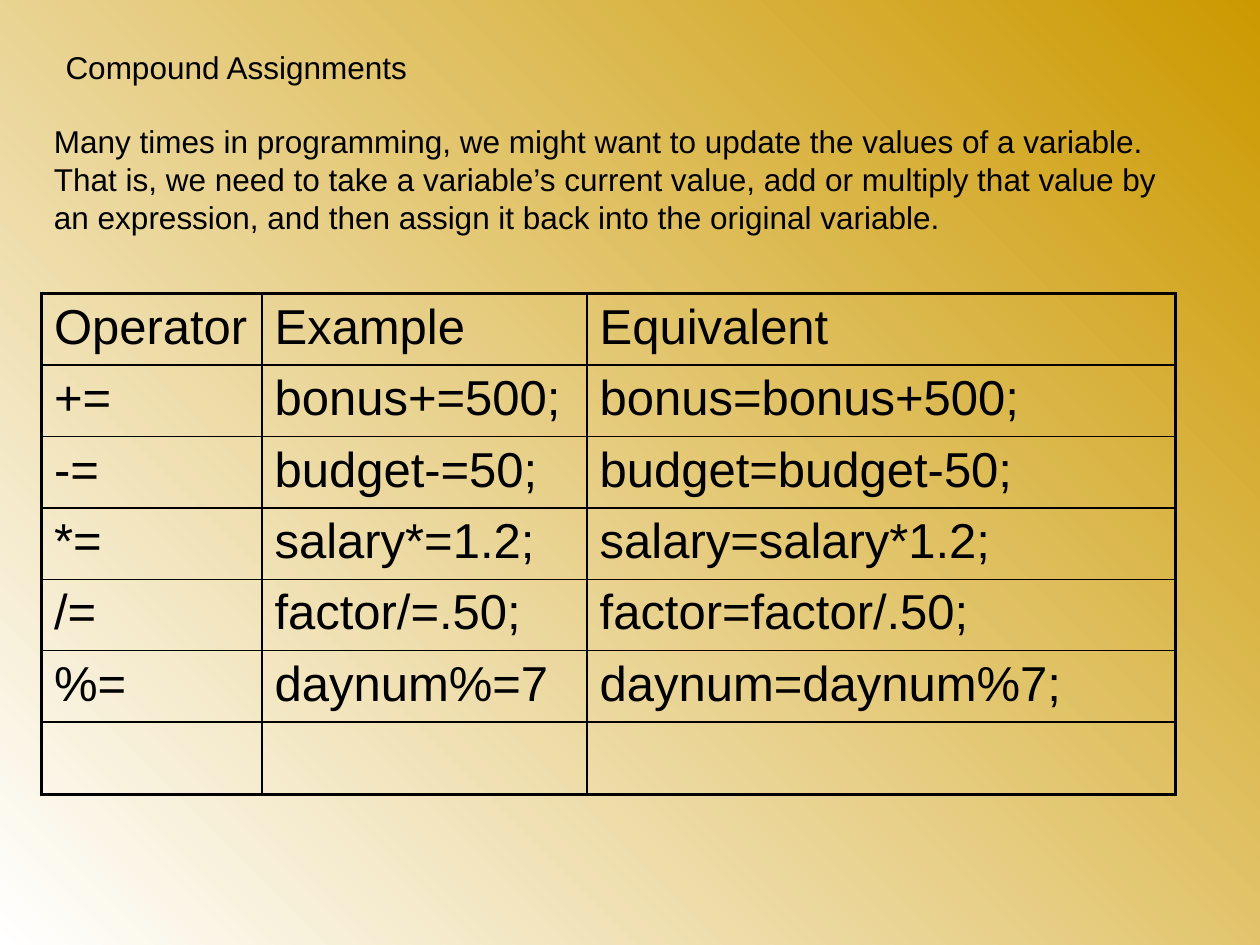
import pptx
import pptx.dml.color
import pptx.enum.text
import pptx.util
from lxml import etree
from pptx.oxml.ns import qn

TITLE = "Compound Assignments"
INTRO = (
    "Many times in programming, we might want to update the values of a variable. "
    "That is, we need to take a variable’s current value, add or multiply that value "
    "by an expression, and then assign it back into the original variable."
)
OPERATORS = [
    ("Operator", "Example", "Equivalent"),
    ("+=", "bonus+=500;", "bonus=bonus+500;"),
    ("-=", "budget-=50;", "budget=budget-50;"),
    ("*=", "salary*=1.2;", "salary=salary*1.2;"),
    ("/=", "factor/=.50;", "factor=factor/.50;"),
    ("%=", "daynum%=7", "daynum=daynum%7;"),
    ("", "", ""),
]
COLUMN_WIDTHS = (1.75, 2.58, 4.67)
ROW_HEIGHT = 3.97 / len(OPERATORS)
TITLE_BOX = (0.42, 0.33, 8.92, 0.4)
INTRO_BOX = (0.33, 0.92, 9.08, 1)
TABLE_CORNER = (0.33, 2.33)
INK, PAPER, GOLD = "000000", "FFFFFF", "CC9900"
OUTER, INNER = 2.25, 1
Inches = pptx.util.Inches


def rgb(value):
    return pptx.dml.color.RGBColor.from_string(value)


def write(frame, text, size):
    frame.text = text
    frame.word_wrap = True
    paragraph = frame.paragraphs[0]
    paragraph.alignment = pptx.enum.text.PP_ALIGN.LEFT
    paragraph.font.size = pptx.util.Pt(size)
    for run in paragraph.runs:
        run.font.name = "Arial"
        run.font.size = pptx.util.Pt(size)
        run.font.bold = False
        run.font.color.rgb = rgb(INK)


def place_text(shape, box, text):
    shape.left, shape.top, shape.width, shape.height = map(Inches, box)
    write(shape.text_frame, text, 18)
    shape.text_frame.auto_size = pptx.enum.text.MSO_AUTO_SIZE.NONE
    shape.text_frame.vertical_anchor = pptx.enum.text.MSO_ANCHOR.TOP


def add_border(cell, side, points):
    line = etree.SubElement(cell._tc.get_or_add_tcPr(), qn(f"a:ln{side}"),
                            w=str(pptx.util.Pt(points)))
    fill = etree.SubElement(line, qn("a:solidFill"))
    etree.SubElement(fill, qn("a:srgbClr"), val=INK)


def add_operator_table(slide):
    row_count, column_count = len(OPERATORS), len(COLUMN_WIDTHS)
    table = slide.shapes.add_table(
        row_count, column_count, *map(Inches, TABLE_CORNER),
        Inches(sum(COLUMN_WIDTHS)), Inches(ROW_HEIGHT * row_count)).table
    table.first_row = table.horz_banding = False
    for column, width in zip(table.columns, COLUMN_WIDTHS):
        column.width = Inches(width)
    for r, entries in enumerate(OPERATORS):
        table.rows[r].height = Inches(ROW_HEIGHT)
        for c, entry in enumerate(entries):
            cell = table.cell(r, c)
            write(cell.text_frame, entry, 28)
            on_edge = {"L": c == 0, "R": c == column_count - 1,
                       "T": r == 0, "B": r == row_count - 1}
            for side, outer in on_edge.items():
                add_border(cell, side, OUTER if outer else INNER)
            cell.fill.background()


def main():
    deck = pptx.Presentation()
    deck.slide_width, deck.slide_height = Inches(10), Inches(7.5)
    slide = deck.slides.add_slide(deck.slide_layouts[5])

    backdrop = slide.background.fill
    backdrop.gradient()
    backdrop.gradient_angle = 45
    for stop, color in zip(backdrop.gradient_stops, (PAPER, GOLD)):
        stop.color.rgb = rgb(color)

    place_text(slide.shapes.title, TITLE_BOX, TITLE)
    intro = slide.shapes.add_textbox(*map(Inches, INTRO_BOX))
    place_text(intro, INTRO_BOX, INTRO)
    add_operator_table(slide)
    deck.save("out.pptx")


if __name__ == "__main__":
    main()
